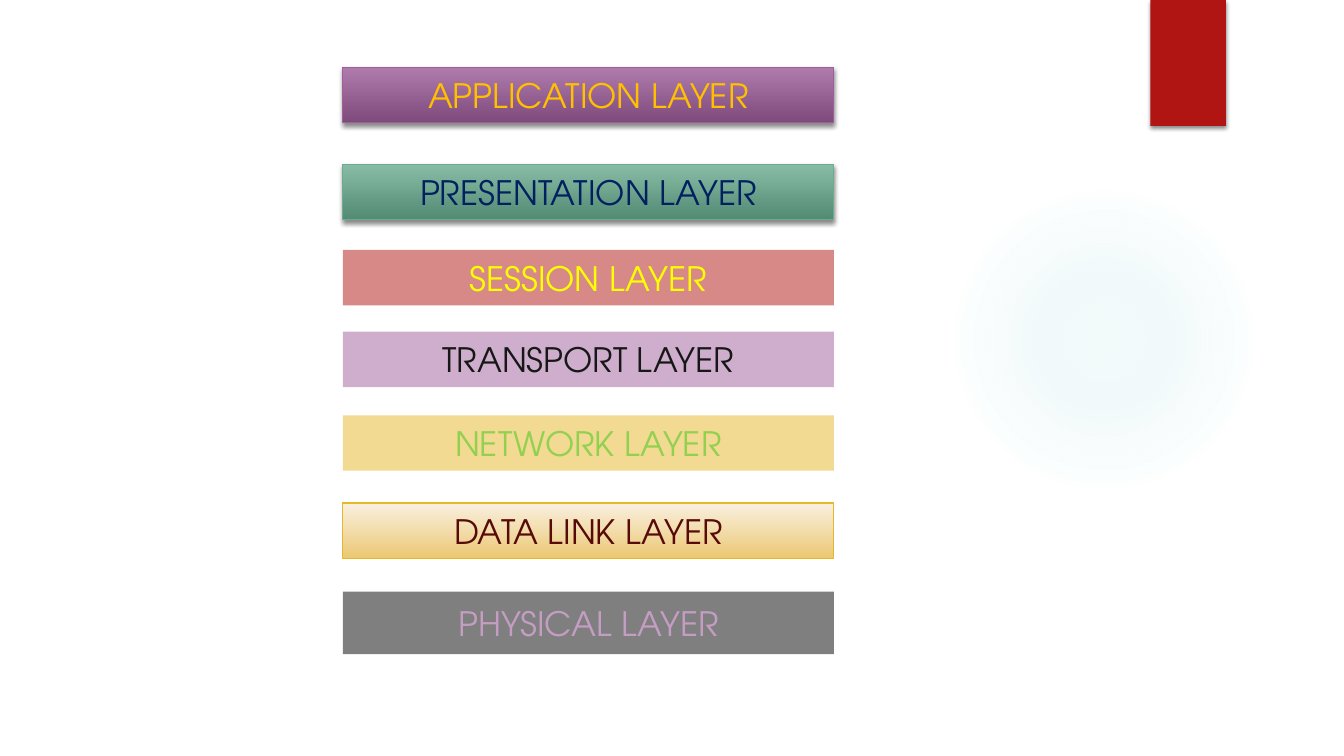
from lxml import etree
from pptx import Presentation
from pptx.dml.color import RGBColor
from pptx.enum.shapes import MSO_SHAPE
from pptx.enum.text import MSO_ANCHOR, PP_ALIGN
from pptx.oxml.ns import qn
from pptx.util import Inches, Pt

RECTANGLE, OVAL = MSO_SHAPE.RECTANGLE, MSO_SHAPE.OVAL
MIDDLE, CENTER = MSO_ANCHOR.MIDDLE, PP_ALIGN.CENTER
BLANK_LAYOUT = 6

# Colours
BLACK = RGBColor(0x00, 0x00, 0x00)
RED = RGBColor(0xB0, 0x15, 0x13)
DARK_RED = RGBColor(0x58, 0x0A, 0x09)
TEAL = RGBColor(0x4C, 0xB9, 0xC3)
PURPLE = RGBColor(0x9E, 0x5E, 0x9B)
PURPLE_TOP = RGBColor(0xAE, 0x7B, 0xAC)
PURPLE_BOTTOM = RGBColor(0x7E, 0x4A, 0x7B)
LILAC = RGBColor(0xC4, 0x9D, 0xC3)
GREEN = RGBColor(0x6A, 0xAC, 0x90)
GREEN_TOP = RGBColor(0x89, 0xBC, 0xA6)
GREEN_BOTTOM = RGBColor(0x52, 0x8A, 0x73)
LIME = RGBColor(0x92, 0xD0, 0x50)
GOLD = RGBColor(0xE6, 0xB7, 0x29)
GOLD_TOP = RGBColor(0xF9, 0xF0, 0xE0)
GOLD_BOTTOM = RGBColor(0xEB, 0xC8, 0x74)
AMBER = RGBColor(0xFF, 0xC0, 0x00)
YELLOW = RGBColor(0xFF, 0xFF, 0x00)
NAVY = RGBColor(0x00, 0x20, 0x60)
CHARCOAL = RGBColor(0x17, 0x17, 0x17)

# Layer bars: text, text colour, top, height, fill colours, line, shadow
LAYERS = [
    ("APPLICATION LAYER", AMBER, 0.67, 0.55, (PURPLE_TOP, PURPLE_BOTTOM), PURPLE, True),
    ("PRESENTATION LAYER", NAVY, 1.63, 0.55, (GREEN_TOP, GREEN_BOTTOM), GREEN, True),
    ("SESSION LAYER", YELLOW, 2.48, 0.55, (RED,), None, False),
    ("TRANSPORT LAYER", CHARCOAL, 3.29, 0.55, (PURPLE,), None, False),
    ("NETWORK LAYER", LIME, 4.12, 0.55, (GOLD,), None, False),
    ("DATA LINK LAYER", DARK_RED, 4.99, 0.55, (GOLD_TOP, GOLD_BOTTOM), GOLD, False),
    ("PHYSICAL LAYER", LILAC, 5.87, 0.62, (BLACK,), None, False),
]


def add_element(parent, tag, **attributes):
    return etree.SubElement(parent, qn(tag), attributes)


def add_color(parent, color, opacity=100):
    element = add_element(parent, "a:srgbClr", val=str(color))
    if opacity < 100:
        add_element(element, "a:alpha", val=str(opacity * 1000))


class LayerSlide:
    font_name = "TeX Gyre Adventor"
    font_size = Pt(24)
    bar_left, bar_width = 3.4, 4.87

    def __init__(self, slide):
        self.slide = slide

    def shape(self, kind, left, top, width, height, line=None, shadow=False):
        shape = self.slide.shapes.add_shape(
            kind, Inches(left), Inches(top), Inches(width), Inches(height))
        shape.shadow.inherit = False
        if line is None:
            shape.line.fill.background()
        else:
            shape.line.color.rgb = line
            shape.line.width = Pt(0.75)
        if shadow:
            effects = shape.element.spPr.find(qn("a:effectLst"))
            outer = add_element(effects, "a:outerShdw", blurRad=str(Pt(3)),
                                dist=str(Pt(2)), dir="5400000", rotWithShape="0")
            add_color(outer, BLACK, 45)
        return shape

    def solid(self, shape, color, opacity=100):
        shape.fill.solid()
        shape.fill.fore_color.rgb = color
        if opacity < 100:
            color_element = shape.element.spPr.find(qn("a:solidFill"))[0]
            add_element(color_element, "a:alpha", val=str(opacity * 1000))

    def vertical_gradient(self, shape, top_color, bottom_color):
        shape.fill.gradient()
        shape.fill.gradient_angle = 270
        for stop, color, position in zip(
                shape.fill.gradient_stops, (top_color, bottom_color), (0, 1)):
            stop.color.rgb = color
            stop.position = position

    def glow(self, left, top, size, color, stops):
        shape = self.shape(OVAL, left, top, size, size)
        shape.fill.gradient()
        gradient = shape.element.spPr.find(qn("a:gradFill"))
        gradient.clear()
        stop_list = add_element(gradient, "a:gsLst")
        for position, opacity in stops:
            stop = add_element(stop_list, "a:gs", pos=str(position * 1000))
            add_color(stop, color, opacity)
        radial = add_element(gradient, "a:path", path="circle")
        add_element(radial, "a:fillToRect", l="50000", t="50000", r="50000", b="50000")

    def ribbon(self, left, top, width, height, color):
        self.solid(self.shape(RECTANGLE, left, top, width, height, shadow=True), color)

    def layer_bar(self, text, text_color, top, height, colors, line, shadow):
        shape = self.shape(RECTANGLE, self.bar_left, top, self.bar_width, height,
                           line, shadow)
        if len(colors) == 2:
            self.vertical_gradient(shape, *colors)
        else:
            self.solid(shape, colors[0], opacity=50)
        text_frame = shape.text_frame
        text_frame.text = text
        text_frame.word_wrap = True
        text_frame.vertical_anchor = MIDDLE
        paragraph = text_frame.paragraphs[0]
        paragraph.alignment = CENTER
        font = paragraph.runs[0].font
        font.name, font.size = self.font_name, self.font_size
        font.color.rgb = text_color


def main():
    presentation = Presentation()
    presentation.slide_width = Inches(13.33)
    presentation.slide_height = Inches(7.5)
    layout = presentation.slide_layouts[BLANK_LAYOUT]
    layer_slide = LayerSlide(presentation.slides.add_slide(layout))

    # Background decoration
    layer_slide.glow(9.41, 1.83, 3.08, TEAL, [(0, 7), (36, 6), (69, 0), (100, 0)])
    layer_slide.ribbon(11.41, 0, 0.75, 1.25, RED)

    # Network layers, top to bottom
    for layer in LAYERS:
        layer_slide.layer_bar(*layer)

    presentation.save("out.pptx")


if __name__ == "__main__":
    main()
